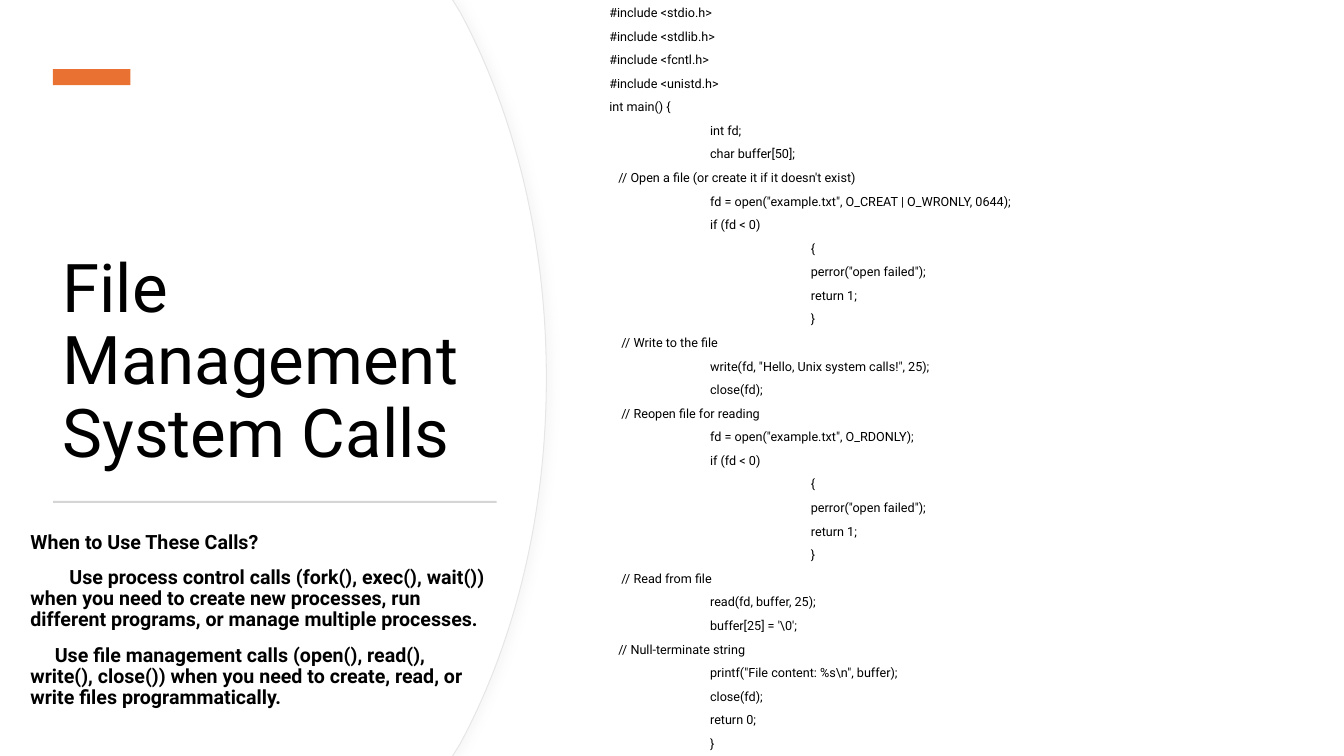
import lxml.etree
import pptx
import pptx.dml.color
import pptx.enum.shapes
import pptx.enum.text
import pptx.oxml
import pptx.oxml.ns
import pptx.util

ANCHOR = pptx.enum.text.MSO_ANCHOR
FIT = pptx.enum.text.MSO_AUTO_SIZE
COLUMNS, ROWS = 80, 45


def color(value):
    return pptx.dml.color.RGBColor.from_string(value)


class SlideBuilder:
    """Draws on one slide; lengths are grid columns and rows."""

    font_name = "Roboto"
    ink = "000000"

    def __init__(self, deck):
        self.page = deck.slides.add_slide(deck.slide_layouts[6])
        self.column = deck.slide_width / COLUMNS
        self.row = deck.slide_height / ROWS

    def x(self, columns):
        return pptx.util.Emu(round(columns * self.column))

    def y(self, rows):
        return pptx.util.Emu(round(rows * self.row))

    def place(self, left, top, width, height):
        return self.x(left), self.y(top), self.x(width), self.y(height)

    def paint(self, shape, fill, line=None):
        shape.shadow.inherit = False
        shape.fill.solid()
        shape.fill.fore_color.rgb = color(fill)
        if line:
            shape.line.color.rgb = color(line)
            shape.line.width = pptx.util.Pt(0.75)
        else:
            shape.line.fill.background()

    def bar(self, place, fill):
        kind = pptx.enum.shapes.MSO_SHAPE.RECTANGLE
        box = self.page.shapes.add_shape(kind, *self.place(*place))
        self.paint(box, fill)

    def curved_panel(self, inset, fill, line=None):
        """Left panel whose right side is a bulge, mirrored about mid-height."""
        upper = [(26.94, 0), (27.42, 0.78), (30.66, 6.84), (32.52, 14.34)]
        lower = [(across, ROWS - down) for across, down in reversed(upper)]
        side = [*upper, (32.52, ROWS / 2), *lower]
        points = [(self.x(across - inset), self.y(down)) for across, down in side]
        builder = self.page.shapes.build_freeform(0, 0)
        builder.add_line_segments([*points, (0, self.y(ROWS))], close=True)
        shape = builder.convert_to_shape()
        # Two runs of three points become Bezier curves
        name = pptx.oxml.ns.qn
        segments = list(shape._element.iter(name("a:lnTo")))
        for first in (2, 5):
            curve = lxml.etree.Element(name("a:cubicBezTo"))
            segments[first].addprevious(curve)
            for segment in segments[first:first + 3]:
                curve.append(segment[0])
                segment.getparent().remove(segment)
        self.paint(shape, fill, line)
        return shape

    def soft_shadow(self, shape, shade):
        effects = shape._element.spPr.find(pptx.oxml.ns.qn("a:effectLst"))
        effects.append(pptx.oxml.parse_xml(
            f'<a:outerShdw {pptx.oxml.ns.nsdecls("a")} blurRad="76200" dist="38100" '
            f'dir="0" algn="l" rotWithShape="0"><a:srgbClr val="{shade}">'
            '<a:alpha val="20000"/></a:srgbClr></a:outerShdw>'))

    def text(self, place, lines, size, bold=False, frame_format=None, para_format=None):
        """Each line is (left margin, first-line indent, words)."""
        frame = self.page.shapes.add_textbox(*self.place(*place)).text_frame
        for name, value in {"word_wrap": True, **(frame_format or {})}.items():
            setattr(frame, name, value)
        for index, (margin, indent, words) in enumerate(lines):
            para = frame.add_paragraph() if index else frame.paragraphs[0]
            for name, value in (para_format or {}).items():
                setattr(para, name, value)
            properties = para._p.get_or_add_pPr()
            properties.set("marL", str(self.x(margin)))
            properties.set("indent", str(self.x(indent)))
            span = para.add_run()
            span.text = words
            style = {"name": self.font_name, "size": pptx.util.Pt(size), "bold": bold}
            for name, value in style.items():
                setattr(span.font, name, value)
            span.font.color.rgb = color(self.ink)


# Code listing: one tab stop is six columns
TAB = 6
NOTE = 0.72


def open_and_check(flags):
    return [(TAB, f'fd = open("example.txt", {flags});'), (TAB, "if (fd < 0)"),
            (2 * TAB, "{"), (2 * TAB, 'perror("open failed");'),
            (2 * TAB, "return 1;"), (2 * TAB, "}")]


CODE = [
    *((0, f"#include <{header}.h>") for header in ("stdio", "stdlib", "fcntl", "unistd")),
    (0, "int main() {"),
    (TAB, "int fd;"),
    (TAB, "char buffer[50];"),
    (0.54, "// Open a file (or create it if it doesn't exist)"),
    *open_and_check("O_CREAT | O_WRONLY, 0644"),
    (NOTE, "// Write to the file"),
    (TAB, 'write(fd, "Hello, Unix system calls!", 25);'),
    (TAB, "close(fd);"),
    (NOTE, "// Reopen file for reading"),
    *open_and_check("O_RDONLY"),
    (NOTE, "// Read from file"),
    (TAB, "read(fd, buffer, 25);"),
    (TAB, r"buffer[25] = '\0';"),
    (0.54, "// Null-terminate string"),
    (TAB, r'printf("File content: %s\n", buffer);'),
    (TAB, "close(fd);"),
    (TAB, "return 0;"),
    (TAB, "}"),
]

ADVICE = [
    (0, 0, "When to Use These Calls?"),
    (0, 2.32, "Use process control calls (fork(), exec(), wait()) when you need to create "
              "new processes, run different programs, or manage multiple processes."),
    (0, 1.45, "Use file management calls (open(), read(), write(), close()) when you need "
              "to create, read, or write files programmatically."),
]


def main():
    deck = pptx.Presentation()
    deck.slide_width = pptx.util.Inches(40 / 3)
    deck.slide_height = pptx.util.Inches(7.5)
    slide = SlideBuilder(deck)

    # Curved panel: shadowed edge below, plain face above
    edge = slide.curved_panel(0, "FFFFFF", "E6E6E6")
    slide.soft_shadow(edge, "D9D9D9")
    slide.curved_panel(0.06, "FFFFFF")

    # Title and advice
    slide.text((3.13, 7.38, 26.4, 21), [(0, 0, "File Management System Calls")], 48,
               frame_format={"vertical_anchor": ANCHOR.BOTTOM},
               para_format={"line_spacing": 0.9})
    slide.text((1.22, 31.4, 28.32, 11.4), ADVICE, 14, bold=True,
               para_format={"line_spacing": 0.9, "space_before": pptx.util.Pt(10)})

    # Accent bar and divider
    slide.bar((3.15, 4.11, 4.62, 0.96), "E97132")
    slide.bar((3.16, 29.82, 26.4, 0.12), "D5D5D5")

    # Code listing
    slide.text((35.68, 0, 36.96, 45.36), [(margin, 0, words) for margin, words in CODE], 9,
               frame_format={"auto_size": FIT.SHAPE_TO_FIT_TEXT},
               para_format={"space_after": pptx.util.Pt(6)})

    deck.save("out.pptx")


if __name__ == "__main__":
    main()
